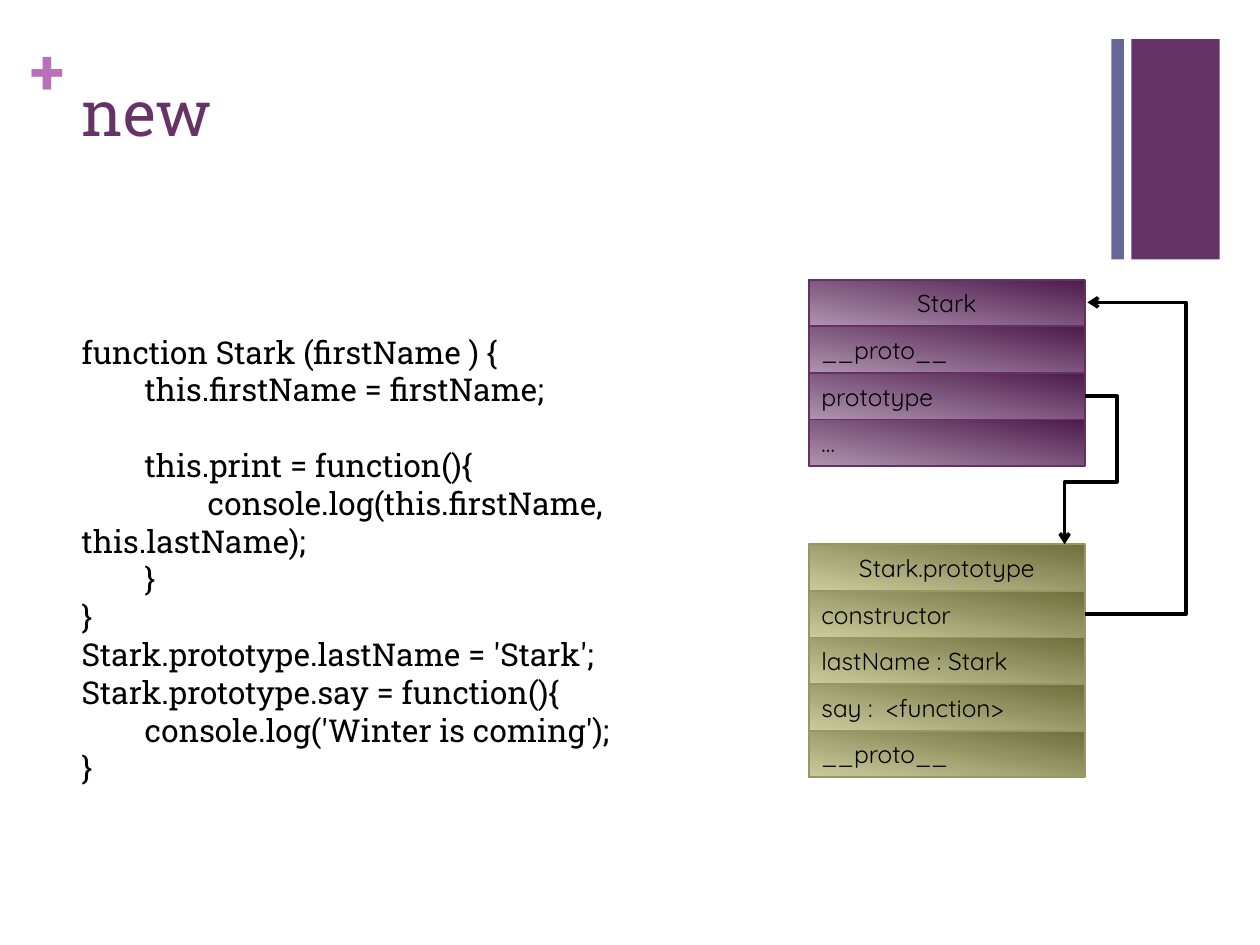
from dataclasses import dataclass

from lxml.etree import SubElement
from pptx import Presentation
from pptx.dml.color import RGBColor
from pptx.enum.shapes import MSO_CONNECTOR, MSO_SHAPE
from pptx.enum.text import MSO_ANCHOR, PP_ALIGN
from pptx.oxml.ns import qn
from pptx.shapes.autoshape import Shape
from pptx.slide import Slide
from pptx.text.text import _Paragraph
from pptx.util import Emu, Pt

EMU_PER_PX = 9144  # 100 px to the inch
SERIF, SANS = "Roboto Slab", "Quicksand"
COLOURS = {
    "plum": "663366",
    "slate": "666699",
    "orchid": "B870B8",
    "black": "000000",
    "purple dark": "4D1A4D",
    "purple light": "AF94AF",
    "purple edge": "653165",
    "olive dark": "6F6F3C",
    "olive light": "CBCB9D",
    "olive edge": "979763",
}
ROW_LEFT, ROW_WIDTH, ROW_HEIGHT = 642, 219, 37
ROW_RIGHT = ROW_LEFT + ROW_WIDTH
CODE_LINE_GAP = 21.6


@dataclass(frozen=True)
class ObjectCard:
    """A stack of rows: the object's name, then its properties."""
    top: int
    palette: str
    rows: tuple[str, ...]


@dataclass(frozen=True)
class Arrow:
    start: tuple[int, int]
    end: tuple[int, int]
    source: Shape
    preset: str
    bends: tuple[int, ...]


CONSTRUCTOR = ObjectCard(222, "purple", ("Stark", "__proto__", "prototype", "…"))
PROTOTYPE = ObjectCard(432, "olive", (
    "Stark.prototype", "constructor", "lastName : Stark", "say :  <function>", "__proto__"))

# Each code line with the number of blank lines before it
CODE = (
    ("function Stark (firstName ) {", 0),
    ("\tthis.firstName = firstName;", 0),
    ("\tthis.print = function(){", 1),
    ("\t\tconsole.log(this.firstName, this.lastName);", 0),
    ("\t}", 0),
    ("}", 0),
    ("Stark.prototype.lastName = 'Stark';", 0),
    ("Stark.prototype.say = function(){", 0),
    ("\tconsole.log('Winter is coming');", 0),
    ("}", 0),
)


def px(length: int) -> Emu:
    return Emu(length * EMU_PER_PX)


def colour(name: str) -> RGBColor:
    return RGBColor.from_string(COLOURS[name])


def add_span(para: _Paragraph, text: str, size: int, font: str, tint: str, bold: bool = False) -> None:
    span = para.add_run()
    span.text = text
    span.font.size = Pt(size)
    span.font.name = font
    span.font.bold = bold
    span.font.color.rgb = colour(tint)


def add_rectangle(page: Slide, left: int, top: int, width: int, height: int) -> Shape:
    box = page.shapes.add_shape(MSO_SHAPE.RECTANGLE, px(left), px(top), px(width), px(height))
    box.shadow.inherit = False
    return box


def add_band(page: Slide, left: int, width: int, tint: str) -> None:
    band = add_rectangle(page, left, 31, width, 175)
    band.fill.solid()
    band.fill.fore_color.rgb = colour(tint)
    band.line.fill.background()


def add_title(page: Slide, text: str) -> None:
    title = page.shapes.title
    title.left, title.top, title.width, title.height = px(55), px(53), px(826), px(122)
    title.text_frame.vertical_anchor = MSO_ANCHOR.TOP
    para = title.text_frame.paragraphs[0]
    para.alignment = PP_ALIGN.LEFT
    add_span(para, text, 36, SERIF, "plum")


def add_plus(page: Slide) -> None:
    frame = page.shapes.add_textbox(px(24), px(25), px(29), px(61)).text_frame
    frame.margin_left = frame.margin_right = frame.margin_top = frame.margin_bottom = 0
    add_span(frame.paragraphs[0], "+", 36, SERIF, "orchid", bold=True)


def add_card(page: Slide, card: ObjectCard) -> list[Shape]:
    boxes = []
    for index, text in enumerate(card.rows):
        box = add_rectangle(page, ROW_LEFT, card.top + index * ROW_HEIGHT, ROW_WIDTH, ROW_HEIGHT)
        box.fill.gradient()
        box.fill.gradient_angle = 260
        for stop, shade in zip(box.fill.gradient_stops, ("dark", "light")):
            stop.color.rgb = colour(f"{card.palette} {shade}")
            stop.position = 0 if shade == "dark" else 1
        box.line.color.rgb = colour(f"{card.palette} edge")
        box.line.width = Pt(1)
        box.text_frame.vertical_anchor = MSO_ANCHOR.MIDDLE
        para = box.text_frame.paragraphs[0]
        para.alignment = PP_ALIGN.LEFT if index else PP_ALIGN.CENTER
        add_span(para, text, 14, SANS, "black")
        boxes.append(box)
    return boxes


def add_arrow(page: Slide, arrow: Arrow) -> None:
    """Draw an elbow arrow; bends are thousandths of its width and height."""
    link = page.shapes.add_connector(
        MSO_CONNECTOR.ELBOW, *map(px, arrow.start), *map(px, arrow.end))
    link.begin_connect(arrow.source, 3)
    link.line.color.rgb = colour("black")
    link.line.width = Pt(2)
    properties = link._element.spPr
    SubElement(properties.find(qn("a:ln")), qn("a:tailEnd"), type="arrow")
    SubElement(properties, qn("a:effectLst"))
    geometry = properties.find(qn("a:prstGeom"))
    geometry.set("prst", arrow.preset)
    guides = geometry.find(qn("a:avLst"))
    for number, bend in enumerate(arrow.bends, start=1):
        SubElement(guides, qn("a:gd"), name=f"adj{number}", fmla=f"val {bend * 100}")


def add_code(page: Slide) -> None:
    frame = page.shapes.add_textbox(px(55), px(259), px(558), px(343)).text_frame
    frame.word_wrap = True
    for index, (text, blank_lines) in enumerate(CODE):
        para = frame.add_paragraph() if index else frame.paragraphs[0]
        para.space_before = Pt(blank_lines * CODE_LINE_GAP)
        add_span(para, text, 18, SERIF, "black")


def main() -> None:
    deck = Presentation()
    deck.slide_width, deck.slide_height = px(1000), px(750)
    page = deck.slides.add_slide(deck.slide_layouts[5])
    add_band(page, 898, 70, "plum")
    add_plus(page)
    add_band(page, 882, 10, "slate")
    add_title(page, "new")
    constructor_rows = add_card(page, CONSTRUCTOR)
    prototype_rows = add_card(page, PROTOTYPE)
    add_arrow(page, Arrow((ROW_RIGHT, 314), (845, 432), constructor_rows[2],
                          "bentConnector4", (-1600, 578)))
    add_arrow(page, Arrow((ROW_RIGHT, 488), (863, 240), prototype_rows[1],
                          "bentConnector3", (40000,)))
    add_code(page)
    deck.save("out.pptx")


if __name__ == "__main__":
    main()
